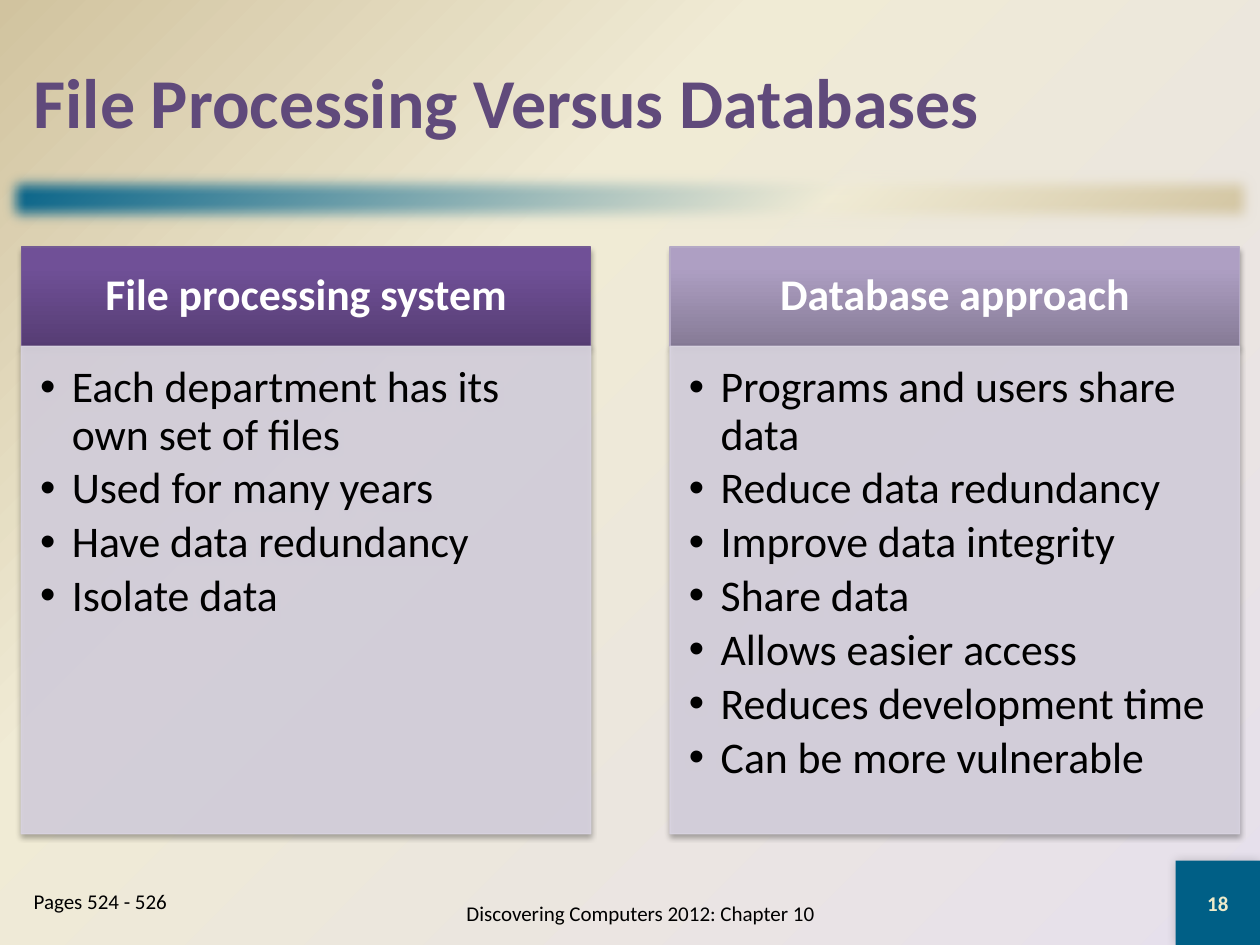
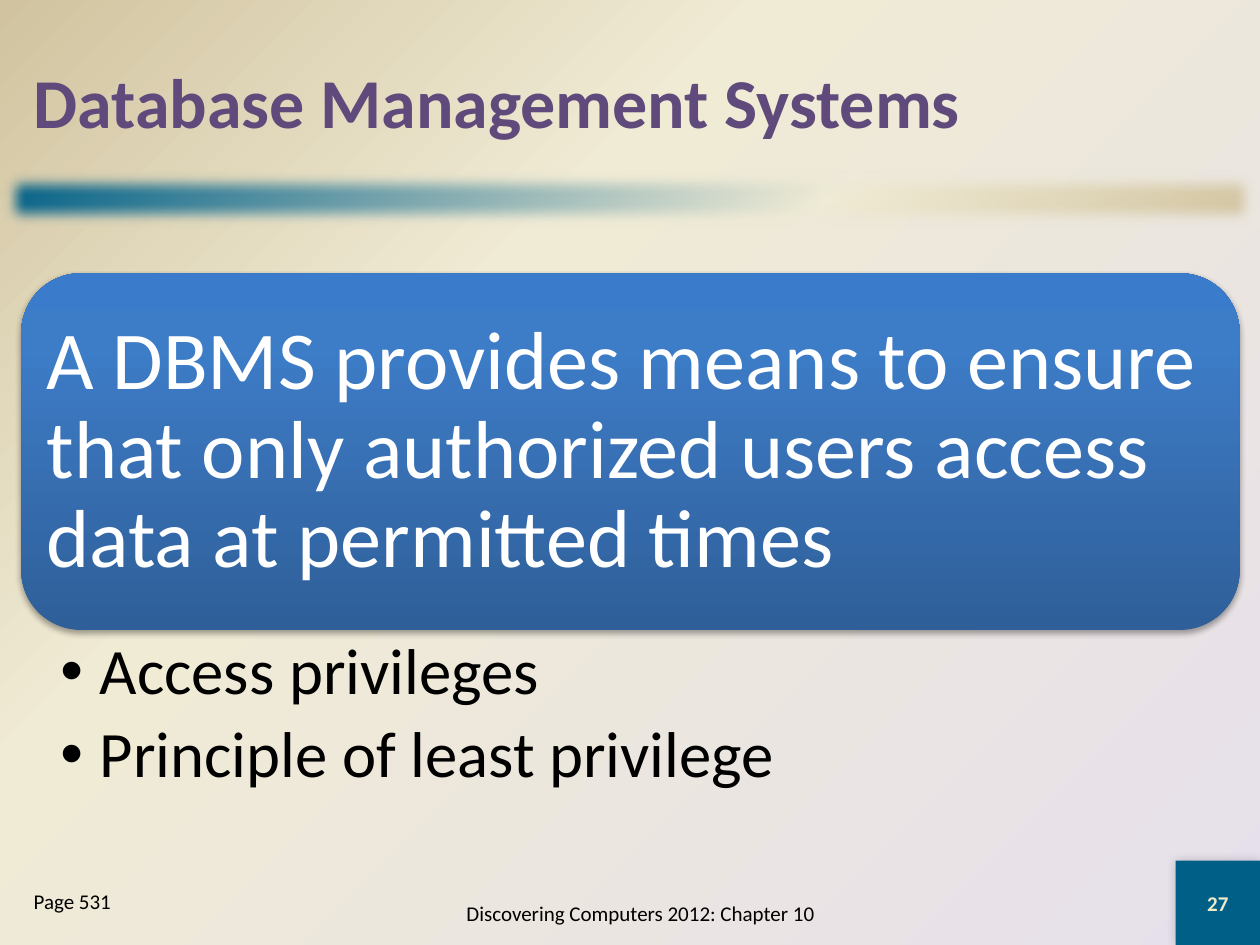
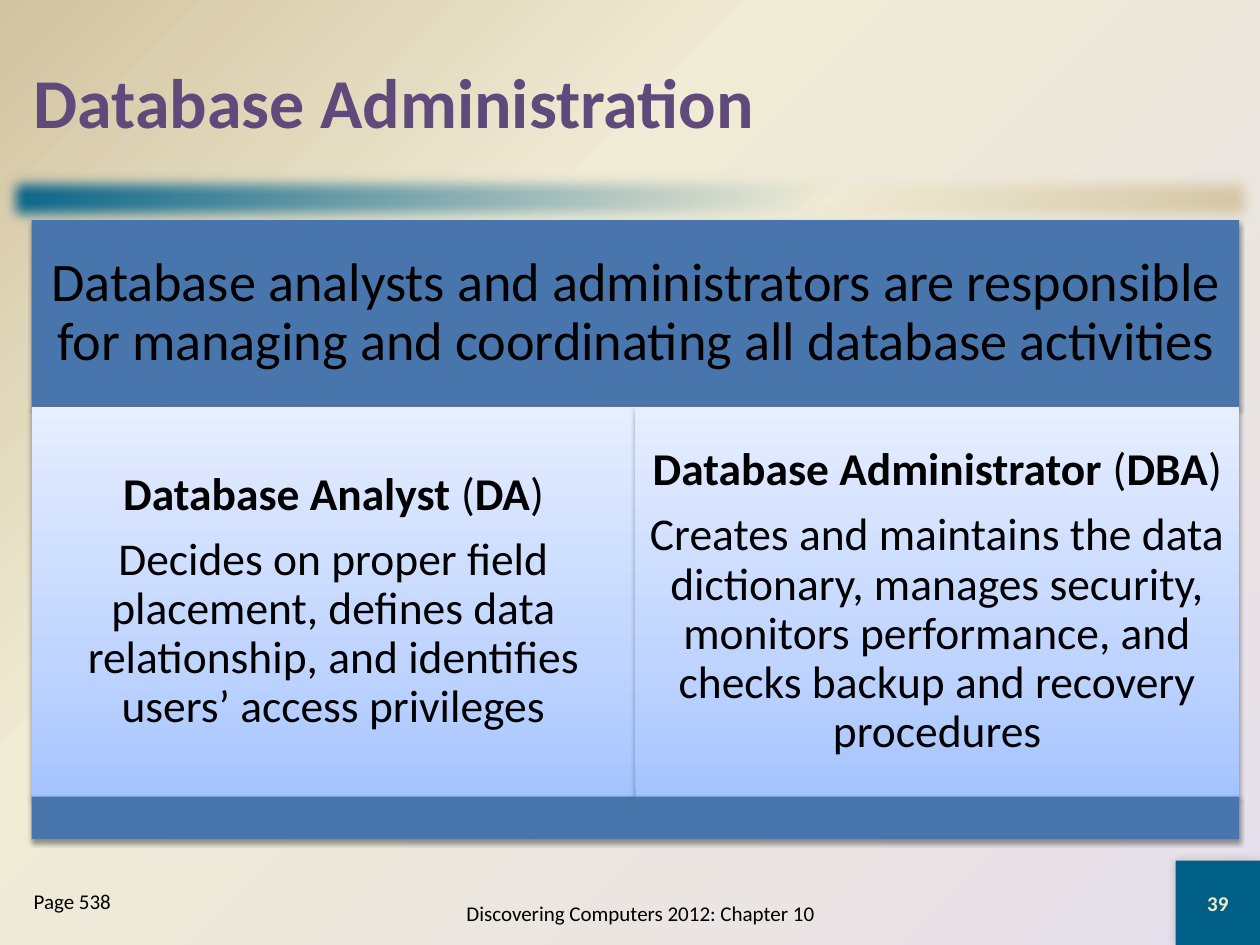
from lxml.etree import SubElement
from pptx import Presentation
from pptx.dml.color import RGBColor
from pptx.enum.shapes import MSO_SHAPE
from pptx.enum.text import MSO_ANCHOR, PP_ALIGN
from pptx.oxml.ns import qn
from pptx.util import Cm, Pt

FONT = "Calibri"
BLACK, WHITE = "000000", "FFFFFF"
TEAL, CREAM, SAND, LILAC = "005F86", "F0EBD5", "D1C39F", "E6E0EC"
TITLE_PURPLE, NUMBER_CREAM = "604A7B", "EEEBCA"
PANEL_LILAC, BANNER_BLUE = "D8D3E0", "4875AC"

PURPLE_HEADER = [(0, "563D74"), (80, "705097"), (100, "704F99")]
LILAC_HEADER = [(0, "867B96"), (80, "AE9FC3"), (100, "AE9FC4")]
BLUE_CALLOUT = [(0, "2F5F99"), (80, "3D7CC7"), (100, "3A7CCB")]
BLUE_CARD = [(0, "A4C4FF"), (35, "BFD4FF"), (100, "E6EEFF")]

# opacity in percent, blur and distance in points, direction in degrees
SOFT_SHADOW = (35, 3.1, 1.8, 90)
FIRM_SHADOW = (38, 3.1, 1.6, 90)
CORNER_SHADOW = (20, 6, 0, 225)

MARGIN = 0.43
CONTENT_WIDTH = 24.56


def color(hex_code):
    return RGBColor.from_string(hex_code)


def add_element(parent, tag, **attributes):
    return SubElement(parent, qn(tag), {key: str(value) for key, value in attributes.items()})


def replace_fill_with_gradient(properties, stops):
    """Swap the solid fill of a properties element for gradient stops (percent, colour)."""
    solid = properties.find(qn("a:solidFill"))
    gradient = add_element(properties, "a:gradFill", rotWithShape=1)
    properties.replace(solid, gradient)
    stop_list = add_element(gradient, "a:gsLst")
    for percent, hex_code in stops:
        stop = add_element(stop_list, "a:gs", pos=percent * 1000)
        add_element(stop, "a:srgbClr", val=hex_code)
    return gradient


def paint_background(page):
    page.background.fill.solid()
    properties = page.element.cSld.find(qn("p:bg")).find(qn("p:bgPr"))
    gradient = replace_fill_with_gradient(properties, [(0, LILAC), (65, CREAM), (100, SAND)])
    circle = add_element(gradient, "a:path", path="circle")
    add_element(circle, "a:fillToRect", l=100000, t=100000)
    add_element(gradient, "a:tileRect", r=-100000, b=-100000)


def add_block(page, area, fill, angle=270, line=None, opacity=100, shadow=None,
              kind=MSO_SHAPE.RECTANGLE):
    """Add a preset shape; fill is a hex colour or a list of gradient stops."""
    shape = page.shapes.add_shape(kind, *map(Cm, area))
    properties = shape.element.spPr
    shape.shadow.inherit = False
    shape.fill.solid()
    if isinstance(fill, str):
        shape.fill.fore_color.rgb = color(fill)
    else:
        gradient = replace_fill_with_gradient(properties, fill)
        add_element(gradient, "a:lin", ang=angle * 60000, scaled=0)
    if line:
        shape.line.color.rgb = color(line)
        shape.line.width = Pt(0.75)
    else:
        shape.line.fill.background()
    if opacity < 100:
        for shade in properties.iter(qn("a:srgbClr")):
            add_element(shade, "a:alpha", val=opacity * 1000)
    if shadow:
        strength, blur, distance, direction = shadow
        outer = add_element(properties.find(qn("a:effectLst")), "a:outerShdw",
                            blurRad=Pt(blur), dist=Pt(distance), dir=direction * 60000,
                            algn="ctr", rotWithShape=0)
        add_element(add_element(outer, "a:srgbClr", val=BLACK), "a:alpha", val=strength * 1000)
    return shape


def add_bullet(paragraph, indent):
    properties = paragraph._p.get_or_add_pPr()
    properties.set("marL", str(Cm(indent)))
    properties.set("indent", str(-Cm(indent)))
    add_element(properties, "a:buFont", typeface="Arial")
    add_element(properties, "a:buChar", char="•")


def write(box, paragraphs, size, hex_code=BLACK, bold=False, align=PP_ALIGN.LEFT,
          anchor=MSO_ANCHOR.MIDDLE, insets=(0.25, 0.13, 0.25, 0.13),
          line_spacing=None, gap=0, bullet_indent=None):
    """Fill a box; a paragraph is a string or a list of (text, bold) spans.

    gap is the space after each paragraph as a share of the font size.
    """
    frame = box.text_frame
    frame.word_wrap = True
    frame.vertical_anchor = anchor
    frame.margin_left, frame.margin_top, frame.margin_right, frame.margin_bottom = map(Cm, insets)
    for index, content in enumerate(paragraphs):
        para = frame.paragraphs[0] if index == 0 else frame.add_paragraph()
        if bullet_indent:
            add_bullet(para, bullet_indent)
        para.alignment = align
        para.line_spacing = line_spacing
        para.space_after = Pt(round(gap * size, 1))
        para.font.name, para.font.size = FONT, Pt(size)
        para.font.color.rgb = color(hex_code)
        if isinstance(content, str):
            para.font.bold = bold
            para.add_run().text = content
        else:
            for text, is_bold in content:
                span = para.add_run()
                span.text = text
                span.font.bold = is_bold


def add_text(page, area, paragraphs, size, **style):
    write(page.shapes.add_textbox(*map(Cm, area)), paragraphs, size, **style)


def add_page(deck, title, page_reference, number):
    """Add a slide with the background, title, band and footers all slides share."""
    page = deck.slides.add_slide(deck.slide_layouts[6])
    paint_background(page)
    band = add_block(page, (0, 3.38, 25.4, 1.27), [(0, TEAL), (65, CREAM), (100, SAND)], angle=45)
    add_element(band.element.spPr.find(qn("a:effectLst")), "a:softEdge", rad=Cm(0.31))
    add_text(page, (MARGIN, MARGIN, CONTENT_WIDTH, 3.18), [title], 40,
             hex_code=TITLE_PURPLE, bold=True)
    corner = add_block(page, (23.7, 17.35, 1.7, 1.7), TEAL, shadow=CORNER_SHADOW)
    write(corner, [str(number)], 12, hex_code=NUMBER_CREAM, bold=True, align=PP_ALIGN.CENTER)
    add_text(page, (7.62, 17.78, 10.59, 1.27), ["Discovering Computers 2012: Chapter 10"], 12,
             align=PP_ALIGN.CENTER)
    add_text(page, (MARGIN, 17.78, 4.65, 1.27), [page_reference], 12, anchor=MSO_ANCHOR.TOP)
    return page


def add_comparison_column(page, left, heading, header_fill, header_line, points):
    width = 11.48
    header = add_block(page, (left, 4.98, width, 2), header_fill, line=header_line,
                       shadow=SOFT_SHADOW)
    write(header, [heading], 25, hex_code=WHITE, bold=True, align=PP_ALIGN.CENTER,
          insets=(0.48, 0.28, 0.48, 0.28), line_spacing=0.9)
    panel = add_block(page, (left, 6.98, width, 9.83), PANEL_LILAC, line=PANEL_LILAC,
                      opacity=90, shadow=SOFT_SHADOW)
    write(panel, points, 25, anchor=MSO_ANCHOR.TOP, insets=(0.38, 0.38, 0.48, 0.56),
          line_spacing=0.9, gap=0.15, bullet_indent=0.64)


def add_role_card(page, left, width, role, short_name, duties):
    card = add_block(page, (left, 8.2, width, 7.87), BLUE_CARD, shadow=FIRM_SHADOW)
    heading = [(role, True), (" (", False), (short_name, True), (")", False)]
    write(card, [heading, duties], 26, align=PP_ALIGN.CENTER, insets=(0.28,) * 4,
          line_spacing=0.9, gap=0.35)


def build_comparison(deck):
    page = add_page(deck, "File Processing Versus Databases", "Pages 524 - 526", 18)
    add_comparison_column(page, MARGIN, "File processing system", PURPLE_HEADER, "745B93", [
        "Each department has its own set of files",
        "Used for many years",
        "Have data redundancy",
        "Isolate data",
    ])
    add_comparison_column(page, 13.51, "Database approach", LILAC_HEADER, "B4A9C5", [
        "Programs and users share data",
        "Reduce data redundancy",
        "Improve data integrity",
        "Share data",
        "Allows easier access",
        "Reduces development time",
        "Can be more vulnerable",
    ])


def build_management_systems(deck):
    page = add_page(deck, "Database Management Systems", "Page 531", 27)
    callout = add_block(page, (MARGIN, 5.51, CONTENT_WIDTH, 7.19), BLUE_CALLOUT,
                        shadow=SOFT_SHADOW, kind=MSO_SHAPE.ROUNDED_RECTANGLE)
    # The preset's own text inset is larger than a rectangle's, so the text has its own box.
    add_text(page, (MARGIN, 5.51, CONTENT_WIDTH, 7.19),
             ["A DBMS provides means to ensure that only authorized users access "
              "data at permitted times"],
             47, hex_code=WHITE, insets=(0.51,) * 4, line_spacing=0.9)
    add_text(page, (MARGIN, 12.7, CONTENT_WIDTH, 3.58),
             ["Access privileges", "Principle of least privilege"], 37,
             anchor=MSO_ANCHOR.TOP, insets=(0.79, 0.18, 0.94, 0.18),
             line_spacing=0.9, gap=0.2, bullet_indent=0.79)


def build_administration(deck):
    page = add_page(deck, "Database Administration", "Page 538", 39)
    left, width = 0.64, 24.34
    card_width = width / 2
    banner = add_block(page, (left, 4.44, width, 3.76), BANNER_BLUE, shadow=FIRM_SHADOW)
    write(banner,
          ["Database analysts and administrators are responsible for managing and "
           "coordinating all database activities"],
          31, align=PP_ALIGN.CENTER, insets=(0.33,) * 4, line_spacing=0.9)
    roles = [
        ("Database Analyst", "DA",
         "Decides on proper field placement, defines data relationship, and identifies "
         "users’ access privileges"),
        ("Database Administrator", "DBA",
         "Creates and maintains the data dictionary, manages security, monitors "
         "performance, and checks backup and recovery procedures"),
    ]
    for column, (role, short_name, duties) in enumerate(roles):
        add_role_card(page, left + column * card_width, card_width, role, short_name, duties)
    add_block(page, (left, 16.06, width, 0.86), BANNER_BLUE, shadow=FIRM_SHADOW)


def main():
    deck = Presentation()
    deck.slide_width, deck.slide_height = Cm(25.4), Cm(19.05)
    build_comparison(deck)
    build_management_systems(deck)
    build_administration(deck)
    deck.save("out.pptx")


if __name__ == "__main__":
    main()
